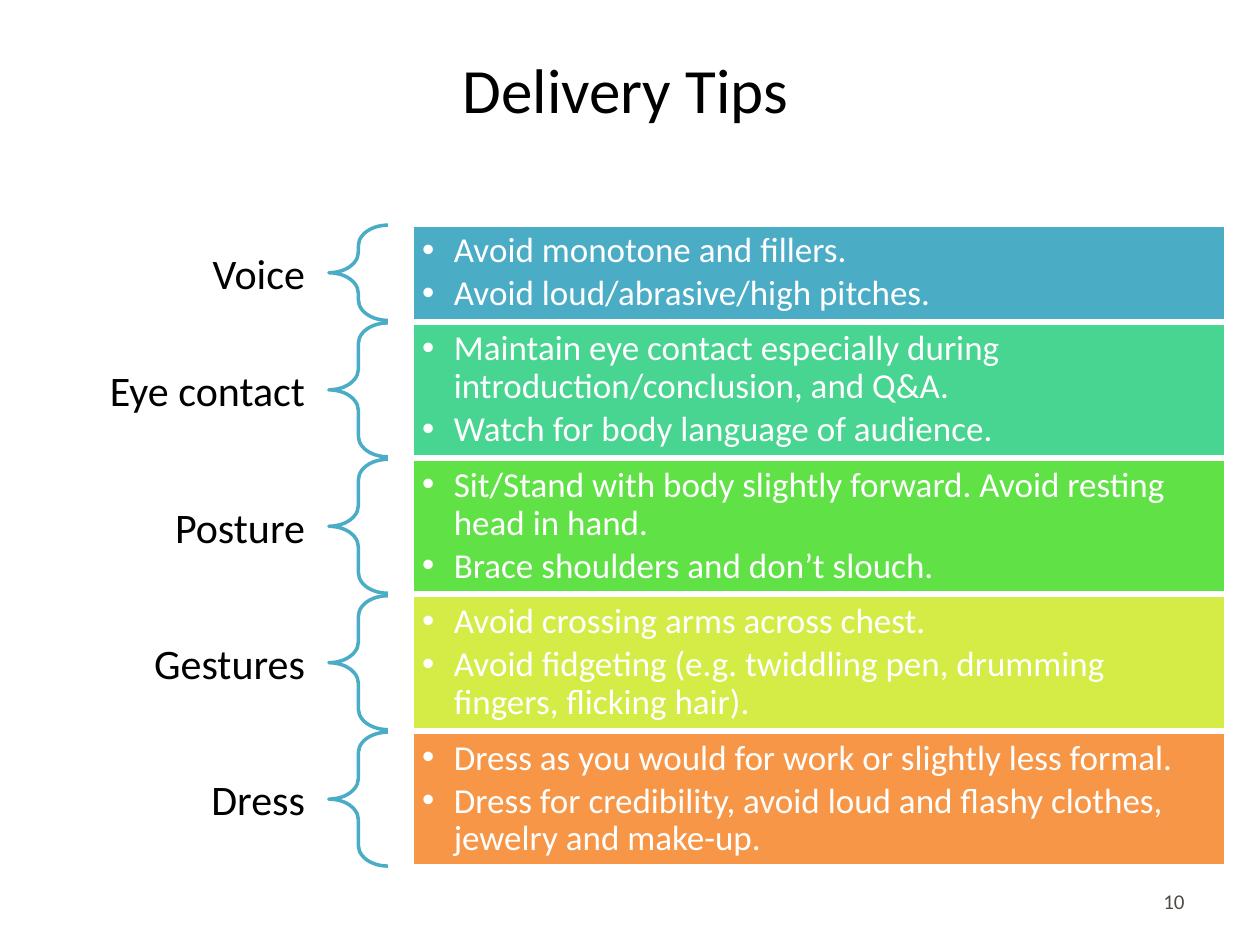
from dataclasses import dataclass

from lxml import etree
from pptx import Presentation
from pptx.dml.color import RGBColor
from pptx.enum.shapes import MSO_SHAPE
from pptx.enum.text import MSO_ANCHOR, PP_ALIGN
from pptx.oxml.ns import qn
from pptx.util import Cm, Pt

RECTANGLE, LEFT_BRACE = MSO_SHAPE.RECTANGLE, MSO_SHAPE.LEFT_BRACE
MIDDLE = MSO_ANCHOR.MIDDLE
LEFT, CENTER, RIGHT = PP_ALIGN.LEFT, PP_ALIGN.CENTER, PP_ALIGN.RIGHT
BLANK_LAYOUT = 6


@dataclass(frozen=True)
class Theme:
    font: str = "Calibri"
    ink: str = "000000"
    paper: str = "FFFFFF"
    brace: str = "4BACC6"
    page_number: str = "534949"
    title_size: int = 36
    topic_size: int = 24
    tip_size: int = 20
    page_number_size: int = 12
    line_width: int = 2


# Topic, panel colour, panel height in cm, tips
TOPICS = [
    ("Voice", "4BACC6", 1.92,
     ["Avoid monotone and fillers.",
      "Avoid loud/abrasive/high pitches."]),
    ("Eye contact", "48D491", 2.7,
     ["Maintain eye contact especially during introduction/conclusion, and Q&A.",
      "Watch for body language of audience."]),
    ("Posture", "60E146", 2.7,
     ["Sit/Stand with body slightly forward. Avoid resting head in hand.",
      "Brace shoulders and don’t slouch."]),
    ("Gestures", "D5EC46", 2.7,
     ["Avoid crossing arms across chest.",
      "Avoid fidgeting (e.g. twiddling pen, drumming fingers, flicking hair)."]),
    ("Dress", "F79646", 2.7,
     ["Dress as you would for work or slightly less formal.",
      "Dress for credibility, avoid loud and flashy clothes, jewelry and make-up."]),
]
FIRST_TOP, ROW_GAP = 4.54, 0.05
TOPIC_LEFT, TOPIC_WIDTH, TOPIC_HEIGHT = 0.58, 6.05, 1.17
BRACE_LEFT, BRACE_WIDTH = 6.63, 1.19
PANEL_LEFT, PANEL_WIDTH = 8.31, 16.4


class SlideBuilder:
    """Draws elements on one slide in the theme's style; lengths are in cm."""

    def __init__(self, slide, theme):
        self.slide = slide
        self.theme = theme

    def style(self, paragraph, size, color, align):
        paragraph.alignment = align
        font = paragraph.font
        font.name = self.theme.font
        font.size = Pt(size)
        font.color.rgb = RGBColor.from_string(color)

    def frame(self, shape, margin_x, margin_y):
        """Prepare a wrapped, vertically centred text frame."""
        frame = shape.text_frame
        frame.word_wrap = True
        frame.vertical_anchor = MIDDLE
        frame.margin_left = frame.margin_right = Cm(margin_x)
        frame.margin_top = frame.margin_bottom = Cm(margin_y)
        return frame

    def text(self, words, left, top, width, height, size, color, align, margin_x=0.25):
        box = self.slide.shapes.add_textbox(Cm(left), Cm(top), Cm(width), Cm(height))
        paragraph = self.frame(box, margin_x, 0.13).paragraphs[0]
        paragraph.text = words
        self.style(paragraph, size, color, align)

    def outlined(self, kind, left, top, width, height, line_color):
        shape = self.slide.shapes.add_shape(kind, Cm(left), Cm(top), Cm(width), Cm(height))
        shape.shadow.inherit = False
        shape.line.color.rgb = RGBColor.from_string(line_color)
        shape.line.width = Pt(self.theme.line_width)
        return shape

    def brace(self, left, top, width, height):
        brace = self.outlined(LEFT_BRACE, left, top, width, height, self.theme.brace)
        brace.fill.background()
        brace.adjustments[0] = 0.35
        brace.adjustments[1] = 0.5

    def bullet(self, paragraph):
        properties = paragraph._p.get_or_add_pPr()
        properties.set("marL", str(Cm(0.64)))
        properties.set("indent", str(-Cm(0.64)))
        etree.SubElement(properties, qn("a:buFont")).set("typeface", "Arial")
        etree.SubElement(properties, qn("a:buChar")).set("char", "•")

    def tip_panel(self, tips, color, left, top, width, height):
        theme = self.theme
        panel = self.outlined(RECTANGLE, left, top, width, height, theme.paper)
        panel.fill.solid()
        panel.fill.fore_color.rgb = RGBColor.from_string(color)
        frame = self.frame(panel, 0.2, 0.2)
        for index, tip in enumerate(tips):
            paragraph = frame.add_paragraph() if index else frame.paragraphs[0]
            paragraph.text = tip
            self.bullet(paragraph)
            paragraph.line_spacing = 0.9
            paragraph.space_after = Pt(3)
            self.style(paragraph, theme.tip_size, theme.paper, LEFT)


def main():
    theme = Theme()
    deck = Presentation()
    deck.slide_width, deck.slide_height = Cm(25.4), Cm(19.05)
    builder = SlideBuilder(deck.slides.add_slide(deck.slide_layouts[BLANK_LAYOUT]), theme)

    builder.text("Delivery Tips", 0.71, 0.79, 23.8, 1.98,
                 theme.title_size, theme.ink, CENTER)

    top = FIRST_TOP
    for topic, color, height, tips in TOPICS:
        topic_top = top + (height - TOPIC_HEIGHT) / 2
        builder.text(topic, TOPIC_LEFT, topic_top, TOPIC_WIDTH, TOPIC_HEIGHT,
                     theme.topic_size, theme.ink, RIGHT, margin_x=0.48)
        builder.brace(BRACE_LEFT, top, BRACE_WIDTH, height)
        builder.tip_panel(tips, color, PANEL_LEFT, top, PANEL_WIDTH, height)
        top += height + ROW_GAP

    builder.text("10", 18.21, 17.65, 5.92, 1.02,
                 theme.page_number_size, theme.page_number, RIGHT)
    deck.save("out.pptx")


if __name__ == "__main__":
    main()
